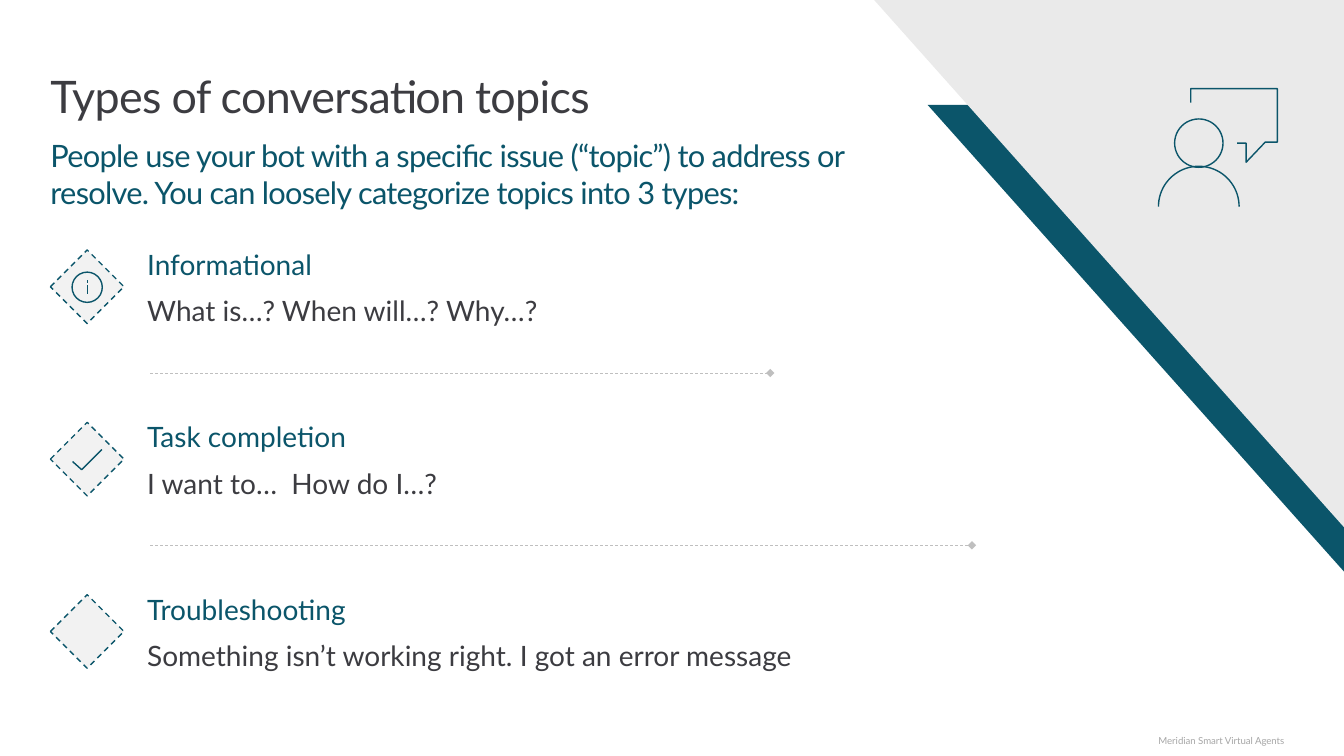
from math import cos, pi, sin
from pptx import Presentation
from pptx.dml.color import RGBColor
from pptx.enum.dml import MSO_LINE
from pptx.enum.shapes import MSO_CONNECTOR, MSO_SHAPE
from pptx.enum.text import MSO_ANCHOR as Anchor, PP_ALIGN as Align
from pptx.oxml.ns import qn
from pptx.util import Inches, Pt
from lxml.etree import SubElement

TEAL = RGBColor(0x0B, 0x55, 0x6A)
DARK = RGBColor(0x3C, 0x3C, 0x41)
PALE = RGBColor(0xF2, 0xF2, 0xF2)
LIGHT = RGBColor(0xEA, 0xEA, 0xEA)
RULE = RGBColor(0xBF, 0xBF, 0xBF)
GREY = RGBColor(0xA6, 0xA6, 0xA6)

WIDE, HIGH = 13.33, 7.5
LEFT, COL = 0.5, 1.46
TOP, STEP = 2.48, 1.71
SIDE = 0.73
MID = LEFT + SIDE / 2

deck = Presentation()
deck.slide_width, deck.slide_height = Inches(WIDE), Inches(HIGH)
slide = deck.slides.add_slide(deck.slide_layouts[6])
shapes = slide.shapes


def write(text, box, size, color, anchor=Anchor.MIDDLE, align=Align.LEFT, track=0):
    """Add a text box without margins; track is in hundredths of a point."""
    frame = shapes.add_textbox(*map(Inches, box)).text_frame
    form = dict(word_wrap=True, vertical_anchor=anchor, margin_left=0,
                margin_right=0, margin_top=0, margin_bottom=0)
    for key, value in form.items():
        setattr(frame, key, value)
    para = frame.paragraphs[0]
    para.alignment = align
    run = para.add_run()
    run.text = text
    for key, value in dict(name="Lato", size=Pt(size)).items():
        setattr(run.font, key, value)
    run.font.color.rgb = color
    if track:
        run._r.get_or_add_rPr().set("spc", str(track))


def outline(points, fill=None):
    """Draw a closed filled shape, or an open teal line when fill is None."""
    spots = [(Inches(x), Inches(y)) for x, y in points]
    pen = shapes.build_freeform(*spots[0])
    pen.add_line_segments(spots[1:], close=fill is not None)
    shape = pen.convert_to_shape()
    shape.shadow.inherit = False
    if fill is None:
        shape.fill.background()
        shape.line.color.rgb, shape.line.width = TEAL, Pt(1)
    else:
        shape.fill.solid()
        shape.fill.fore_color.rgb = fill
        shape.line.fill.background()


write("Types of conversation topics", (LEFT, 0.68, 12.36, 0.54), 32, DARK,
      anchor=Anchor.TOP, track=-50)
write("People use your bot with a specific issue (“topic”) to address or "
      "resolve. You can loosely categorize topics into 3 types:",
      (LEFT, 1.36, 8.87, 0.81), 22, TEAL, anchor=Anchor.TOP, track=-50)
write("Meridian Smart Virtual Agents", (9.74, 7.28, 3, 0.13), 6.9, GREY,
      align=Align.RIGHT)

# Corner triangles
for x, top, low, color in ((9.2, 1.04, 5.67, TEAL), (8.67, 0, 5.23, LIGHT)):
    outline([(x, top), (WIDE, top), (WIDE, low)], color)

# Topics
topics = (
    ("Informational", "What is…? When will…? Why…?"),
    ("Task completion", "I want to…  How do I…?"),
    ("Troubleshooting", "Something isn’t working right. I got an error message"),
)
for row, (name, quote) in enumerate(topics):
    top = TOP + row * STEP
    gem = shapes.add_shape(MSO_SHAPE.DIAMOND, *map(Inches, (LEFT, top, SIDE, SIDE)))
    gem.shadow.inherit = False
    gem.fill.solid()
    gem.fill.fore_color.rgb = PALE
    gem.line.color.rgb = TEAL
    for key, value in dict(width=Pt(1), dash_style=MSO_LINE.DASH).items():
        setattr(gem.line, key, value)
    write(name, (COL, top - 0.21, 3.07, 0.7), 20, TEAL)
    write(quote, (COL, top + 0.25, 7.03, 0.7), 20, DARK)

# Info sign and head
for x, y, r in ((MID, 2.85, 0.15), (11.89, 1.42, 0.24)):
    ring = shapes.add_shape(MSO_SHAPE.OVAL,
                            *map(Inches, (x - r, y - r, 2 * r, 2 * r)))
    ring.shadow.inherit = False
    ring.fill.background()
    ring.line.color.rgb, ring.line.width = TEAL, Pt(1)

# Rules between topics, then the dot and stem of the info sign
low = TOP + 1.22
dash = dict(width=Pt(0.5), dash_style=MSO_LINE.DASH)
plain = dict(width=Pt(1))
for ends, color, form in (
    ((1.49, low, 7.64, low), RULE, dash),
    ((1.49, low + STEP, 9.64, low + STEP), RULE, dash),
    ((MID, 2.78, MID, 2.81), TEAL, plain),
    ((MID, 2.83, MID, 2.92), TEAL, plain),
):
    rule = shapes.add_connector(MSO_CONNECTOR.STRAIGHT, *map(Inches, ends))
    rule.line.color.rgb = color
    for key, value in form.items():
        setattr(rule.line, key, value)
    if form is dash:
        SubElement(rule.line._get_or_add_ln(), qn("a:tailEnd"), type="diamond")
    SubElement(rule._element.spPr, qn("a:effectLst"))

# Tick, speech bubble, shoulders
tick = [(1.01, 4.46), (0.81, 4.66), (0.72, 4.58)]
bubble = [(11.81, 1.02), (11.81, 0.88), (12.67, 0.88), (12.67, 1.41),
          (12.55, 1.41), (12.36, 1.61), (12.36, 1.42), (12.27, 1.42)]
arc = [(11.89 - 0.4 * cos(pi * n / 40), 2.05 - 0.4 * sin(pi * n / 40))
       for n in range(41)]
for points in (tick, bubble, arc):
    outline(points)

deck.save("out.pptx")
